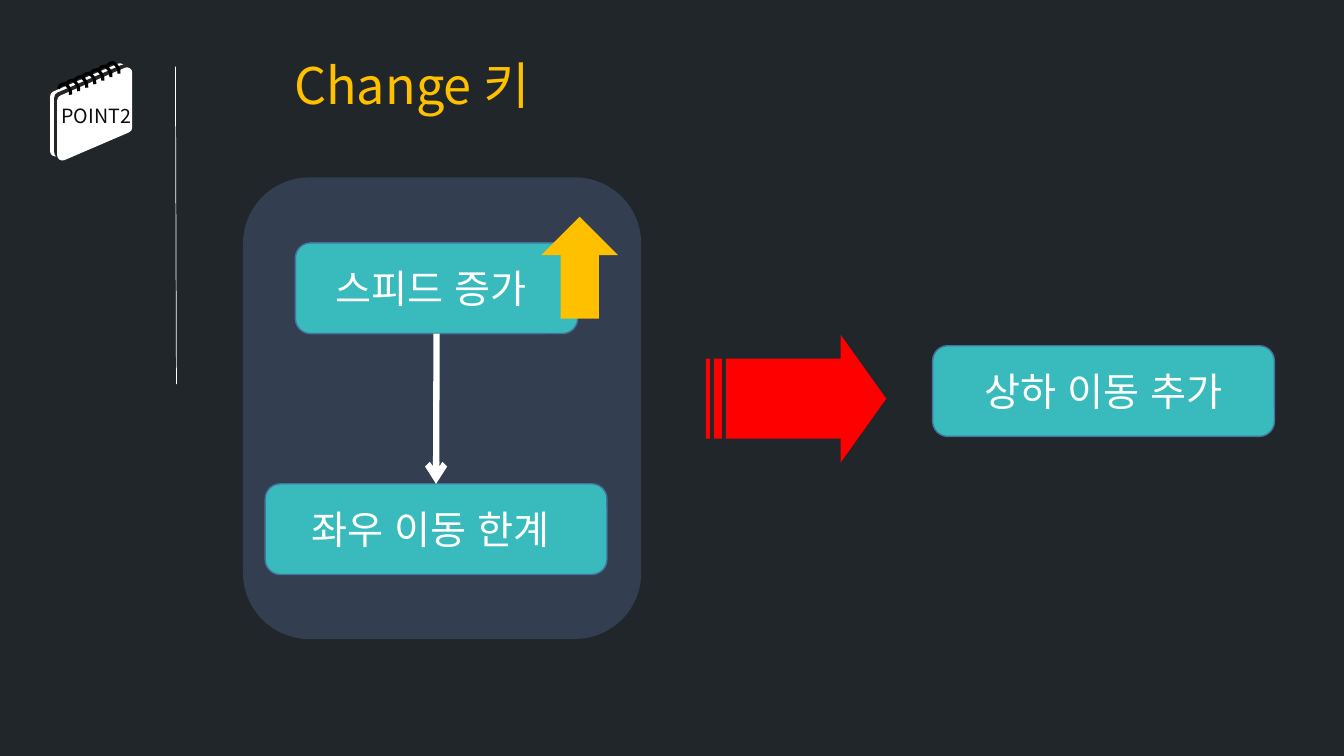
from lxml import etree
from pptx import Presentation
from pptx.dml.color import RGBColor
from pptx.enum.lang import MSO_LANGUAGE_ID
from pptx.enum.shapes import MSO_CONNECTOR, MSO_SHAPE
from pptx.enum.text import MSO_ANCHOR, MSO_AUTO_SIZE, PP_ALIGN
from pptx.oxml.ns import qn
from pptx.util import Inches, Pt

STRAIGHT = MSO_CONNECTOR.STRAIGHT
ROUNDED = MSO_SHAPE.ROUNDED_RECTANGLE
PAGE = MSO_SHAPE.PARALLELOGRAM
UP_ARROW = MSO_SHAPE.UP_ARROW
STRIPED_ARROW = MSO_SHAPE.STRIPED_RIGHT_ARROW
CENTER, LEFT = PP_ALIGN.CENTER, PP_ALIGN.LEFT
MIDDLE, TOP = MSO_ANCHOR.MIDDLE, MSO_ANCHOR.TOP
GROW = MSO_AUTO_SIZE.SHAPE_TO_FIT_TEXT
KOREAN = MSO_LANGUAGE_ID.KOREAN
KR, SC = "Noto Sans CJK KR", "Noto Sans CJK SC"
BOTTOM_SIDE, TOP_SIDE = 2, 0

COLORS = {
    "background": "21262A", "white": "FFFFFF", "black": "000000",
    "label": "0D0D0D", "shade": "262626", "amber": "FFC000",
    "teal": "39BBBD", "edge": "43739E", "red": "FF0000", "panel": "333F50",
}

# Two cubic curves of a wire ring, measured from its box corner
RING_START = (0, 0.05)
RING_CURVES = [
    [(0.01, 0.01), (0.04, 0), (0.06, 0)],
    [(0.08, 0.01), (0.13, 0.05), (0.12, 0.11)],
]


def color(name):
    return RGBColor.from_string(COLORS[name])


def add_child(parent, tag, **attributes):
    return etree.SubElement(parent, qn(tag), attributes)


def set_line(shape, name, width):
    shape.line.color.rgb = color(name)
    shape.line.width = Pt(width)


def add_solid(shapes, kind, box, fill, line=None, adjustments=()):
    """Add a preset shape with a flat fill and an optional (colour, width) line."""
    shape = shapes.add_shape(kind, *map(Inches, box))
    shape.shadow.inherit = False
    shape.fill.solid()
    shape.fill.fore_color.rgb = color(fill)
    if line:
        set_line(shape, *line)
    else:
        shape.line.fill.background()
    for index, value in enumerate(adjustments):
        shape.adjustments[index] = value
    return shape


def write(shape, text, size, name, font=KR, align=CENTER, **frame_format):
    frame = shape.text_frame
    for attribute, value in frame_format.items():
        setattr(frame, attribute, value)
    paragraph = frame.paragraphs[0]
    paragraph.alignment = align
    run = paragraph.add_run()
    run.text = text
    run.font.size = Pt(size)
    run.font.color.rgb = color(name)
    run.font.language_id = KOREAN
    run.font.name = font
    add_child(run.font._element, "a:ea", typeface=font)


def add_line(shapes, start, end, width):
    line = shapes.add_connector(STRAIGHT, *map(Inches, (*start, *end)))
    set_line(line, "white", width)
    add_child(line._element.spPr, "a:effectLst")
    return line


def add_step(shapes, box, text):
    step = add_solid(shapes, ROUNDED, box, "teal", ("edge", 1))
    write(step, text, 28, "white", vertical_anchor=MIDDLE, word_wrap=True)
    return step


def add_page(shapes, box):
    """Add one slanted notepad page with rounded corners and a hard shadow."""
    page = add_solid(shapes, PAGE, box, "white", ("white", 7.5), [0.43])
    page.rotation = 90
    properties = page._element.spPr
    properties.find(qn("a:xfrm")).set("flipH", "1")
    add_child(properties.find(qn("a:ln")), "a:round")
    shadow = add_child(properties.find(qn("a:effectLst")), "a:outerShdw",
                       dist=str(Pt(3)), dir=str(225 * 60000),
                       algn="br", rotWithShape="0")
    add_child(shadow, "a:srgbClr", val=COLORS["shade"])


def add_ring(shapes, left, top):
    """Add a wire ring, bending each straight segment into a cubic curve."""
    def place(point):
        return Inches(left + point[0]), Inches(top + point[1])

    builder = shapes.build_freeform(*place(RING_START), scale=1.0)
    builder.add_line_segments([place(curve[-1]) for curve in RING_CURVES],
                              close=False)
    ring = builder.convert_to_shape()
    ring.shadow.inherit = False
    ring.fill.background()
    set_line(ring, "black", 2.25)
    outline = next(ring._element.iter(qn("a:path")))
    for segment, curve in zip(outline.findall(qn("a:lnTo")), RING_CURVES):
        outline.remove(segment)
        bend = add_child(outline, "a:cubicBezTo")
        for x, y in curve:
            add_child(bend, "a:pt", x=str(Inches(x)), y=str(Inches(y)))


def add_notepad(slide, left, top, ring_count=7):
    shapes = slide.shapes.add_group_shape().shapes
    for dx, dy in ((0, 0.16), (0.07, 0.2)):
        add_page(shapes, (left + dx, top + dy, 0.82, 0.64))
    for index in reversed(range(ring_count)):
        add_ring(shapes, left + 0.12 + 0.08 * index, top + 0.22 - 0.035 * index)
    label = slide.shapes.add_textbox(
        *map(Inches, (left + 0.03, top + 0.37, 0.93, 0.34)))
    write(label, "POINT2", 14, "label", SC, word_wrap=False, auto_size=GROW)


def add_title(slide, box, text):
    title = slide.shapes.add_textbox(*map(Inches, box))
    write(title, text, 36, "amber", align=LEFT, vertical_anchor=TOP,
          word_wrap=True, auto_size=GROW)


def add_speed_panel(slide, left, top, width, height):
    shapes = slide.shapes.add_group_shape().shapes
    add_solid(shapes, ROUNDED, (left, top, width, height), "panel")
    speed = add_step(shapes, (left + 0.52, top + 0.65, 2.8, 0.9), "스피드 증가 ")
    limit = add_step(shapes, (left + 0.22, top + 3.04, 3.39, 0.9), "좌우 이동 한계 ")
    middle = left + 1.92
    link = add_line(shapes, (middle, top + 1.55), (middle, top + 3.04), 4.5)
    link.begin_connect(speed, BOTTOM_SIDE)
    link.end_connect(limit, TOP_SIDE)
    add_child(link._element.spPr.find(qn("a:ln")), "a:tailEnd", type="arrow")
    add_solid(shapes, UP_ARROW, (left + 2.96, top + 0.39, 0.76, 1.01), "amber",
              adjustments=[0.5, 0.5])


def add_result(slide, left, top):
    """Add the red arrow and the step it leads to."""
    add_step(slide.shapes, (left + 2.25, top + 0.11, 3.39, 0.9), "상하 이동 추가")
    add_solid(slide.shapes, STRIPED_ARROW, (left, top, 1.79, 1.27), "red",
              adjustments=[0.625, 0.357])


def main():
    deck = Presentation()
    deck.slide_width, deck.slide_height = Inches(13.33), Inches(7.5)
    slide = deck.slides.add_slide(deck.slide_layouts[6])
    slide.background.fill.solid()
    slide.background.fill.fore_color.rgb = color("background")

    add_line(slide.shapes, (1.74, 0.66), (1.75, 3.81), 0.5)
    add_notepad(slide, 0.46, 0.61)
    add_title(slide, (2.82, 0.49, 9.13, 0.71), "Change 키")
    add_result(slide, 7, 3.32)
    add_speed_panel(slide, 2.41, 1.76, 3.95, 4.58)
    deck.save("out.pptx")


if __name__ == "__main__":
    main()
